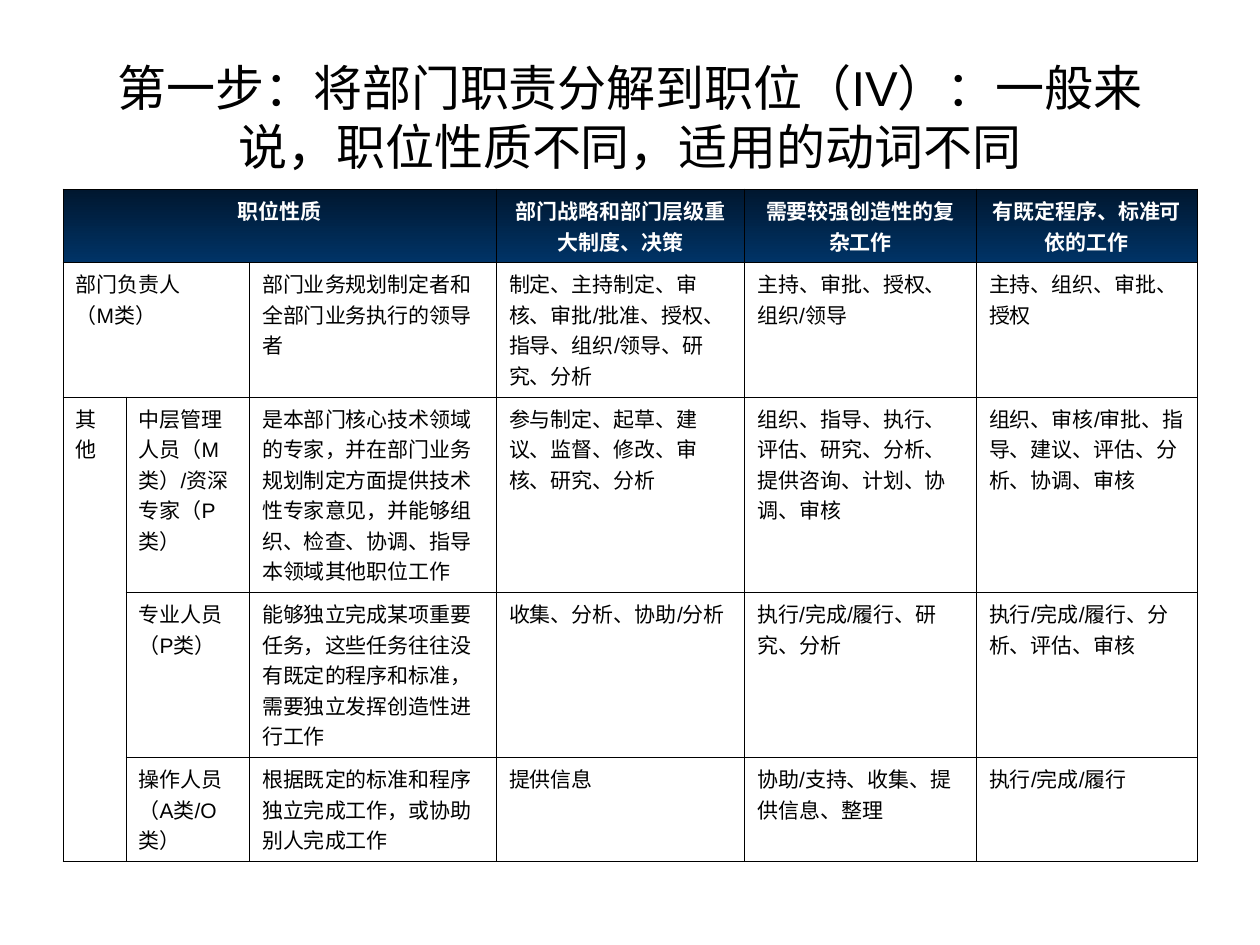
"""Build a slide with a table matching job types to suitable verbs."""
from lxml import etree
from pptx import Presentation
from pptx.dml.color import RGBColor
from pptx.enum.text import MSO_ANCHOR, PP_ALIGN
from pptx.oxml.ns import qn
from pptx.util import Inches, Pt

CENTER, LEFT = PP_ALIGN.CENTER, PP_ALIGN.LEFT
MIDDLE = MSO_ANCHOR.MIDDLE
HANGING = Inches(0.38)
BORDER_WIDTH = Pt(0.45)


def color(value):
    return RGBColor.from_string(value)


def write(para, text, align, size, bold, ink):
    para.alignment = align
    para._p.get_or_add_pPr().set("hangingPunct", "0")
    span = para.add_run()
    span.text = text
    span.font.color.rgb = color(ink)
    for name, value in {"name": "Arial", "size": Pt(size), "bold": bold}.items():
        setattr(span.font, name, value)


deck = Presentation()
deck.slide_width, deck.slide_height = Inches(10), Inches(7.5)
page = deck.slides.add_slide(deck.slide_layouts[6])

title = page.shapes.add_textbox(Inches(0.5), Inches(0.3), Inches(9), Inches(1.25))
title.text_frame.word_wrap = True
title.text_frame.vertical_anchor = MIDDLE
write(title.text_frame.paragraphs[0],
      "第一步：将部门职责分解到职位（IV）：一般来说，职位性质不同，适用的动词不同",
      CENTER, 28, False, "000000")

column_widths = [0.5, 0.98, 1.96, 1.97, 1.84, 1.75]
row_heights = [0.58, 1.07, 1.55, 1.31, 0.83]
rows = [
    ["职位性质", "", "", "部门战略和部门层级重大制度、决策",
     "需要较强创造性的复杂工作", "有既定程序、标准可依的工作"],
    ["部门负责人\n（M类）", "", "部门业务规划制定者和全部门业务执行的领导者",
     "制定、主持制定、审核、审批/批准、授权、指导、组织/领导、研究、分析",
     "主持、审批、授权、组织/领导", "主持、组织、审批、授权"],
    ["其他", "中层管理人员（M类）/资深专家（P类）",
     "是本部门核心技术领域的专家，并在部门业务规划制定方面提供技术性专家意见，并能够组织、检查、协调、指导本领域其他职位工作",
     "参与制定、起草、建议、监督、修改、审核、研究、分析",
     "组织、指导、执行、评估、研究、分析、提供咨询、计划、协调、审核",
     "组织、审核/审批、指导、建议、评估、分析、协调、审核"],
    ["", "专业人员（P类）",
     "能够独立完成某项重要任务，这些任务往往没有既定的程序和标准，需要独立发挥创造性进行工作",
     "收集、分析、协助/分析", "执行/完成/履行、研究、分析",
     "执行/完成/履行、分析、评估、审核"],
    ["", "操作人员（A类/O类）", "根据既定的标准和程序独立完成工作，或协助别人完成工作",
     "提供信息", "协助/支持、收集、提供信息、整理", "执行/完成/履行"],
]
hanging_cells = {(0, 0), (1, 0), (4, 3), (4, 5)}

table = page.shapes.add_table(len(rows), len(column_widths), Inches(0.5), Inches(1.5),
                              Inches(9), Inches(sum(row_heights))).table
table.first_row = table.horz_banding = False
for column, width in zip(table.columns, column_widths):
    column.width = Inches(width)
for row, height in zip(table.rows, row_heights):
    row.height = Inches(height)
for first, last in [((0, 0), (0, 2)), ((1, 0), (1, 1)), ((2, 0), (4, 0))]:
    table.cell(*first).merge(table.cell(*last))

for row_index, texts in enumerate(rows):
    header = row_index == 0
    align, ink = (CENTER, "FFFFFF") if header else (LEFT, "000000")
    for column_index, text in enumerate(texts):
        cell = table.cell(row_index, column_index)
        properties = cell._tc.get_or_add_tcPr()
        for side in ("a:lnL", "a:lnR", "a:lnT", "a:lnB"):
            line = etree.SubElement(properties, qn(side), w=str(BORDER_WIDTH))
            solid = etree.SubElement(line, qn("a:solidFill"))
            etree.SubElement(solid, qn("a:srgbClr"), val="000000")
        if header:
            cell.fill.gradient()
            cell.fill.gradient_angle = 270
            for stop, shade in zip(cell.fill.gradient_stops, ("00172F", "003366")):
                stop.color.rgb = color(shade)
        else:
            cell.fill.background()
        if not text:
            continue
        frame = cell.text_frame
        for index, part in enumerate(text.split("\n")):
            para = frame.add_paragraph() if index else frame.paragraphs[0]
            if (row_index, column_index) in hanging_cells:
                para_properties = para._p.get_or_add_pPr()
                para_properties.set("marL", str(HANGING))
                para_properties.set("indent", str(-HANGING))
            write(para, part, align, 12, header, ink)

deck.save("out.pptx")
